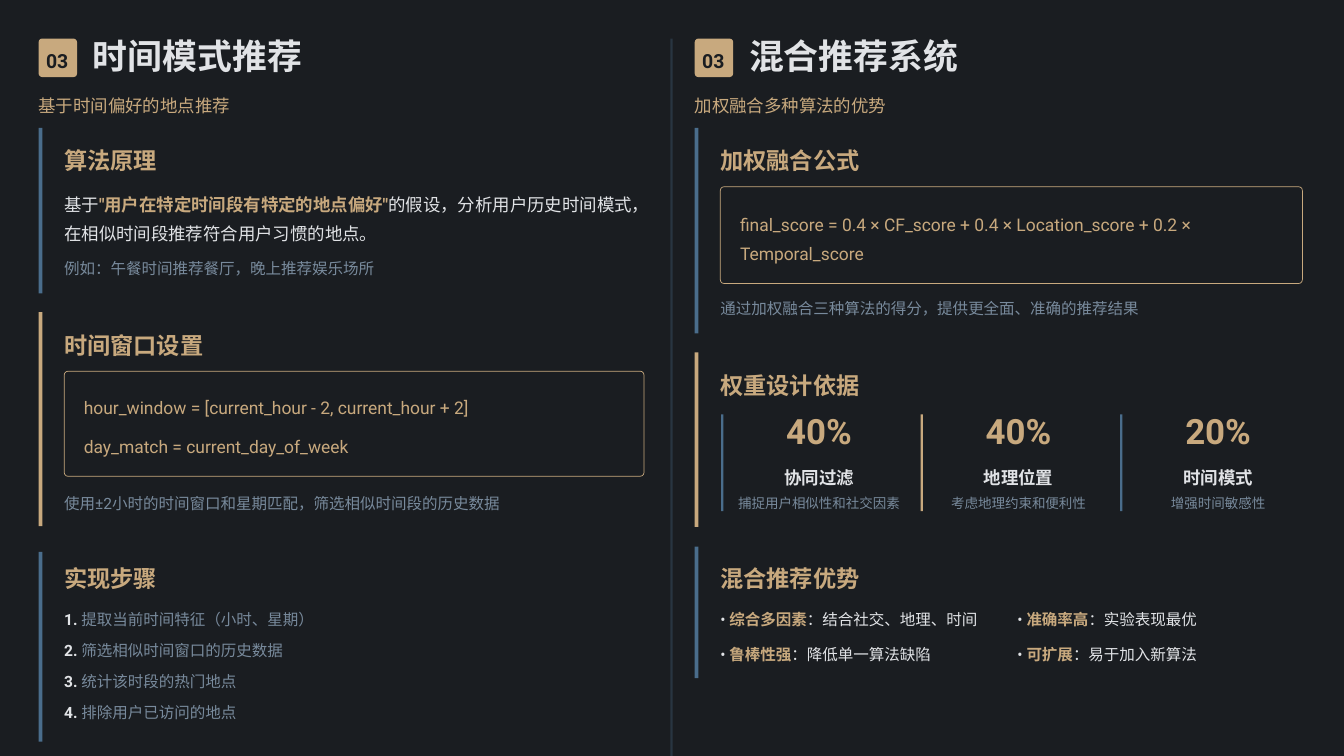
from lxml.etree import SubElement
from pptx import Presentation
from pptx.dml.color import RGBColor
from pptx.enum.shapes import MSO_SHAPE
from pptx.enum.text import MSO_ANCHOR, PP_ALIGN
from pptx.oxml.ns import qn
from pptx.util import Inches, Pt

FONT = "Roboto"
DARK = "1A1D21"
LIGHT = "E1E3E6"
GOLD = "C8A97E"
BLUE = "4A6D8C"
GREY = "788A9C"
LEFT = 0.51
RIGHT = 9.19
INDENT = 0.34
BODY_WIDTH = 7.8

presentation = Presentation()
presentation.slide_width = Inches(17.78)
presentation.slide_height = Inches(10)
slide = presentation.slides.add_slide(presentation.slide_layouts[6])
slide.background.fill.solid()
slide.background.fill.fore_color.rgb = RGBColor.from_string(DARK)


def add_text(text, left, top, width, height, size=14.8, color=GREY, bold=False,
             spacing=1.3, align=PP_ALIGN.LEFT):
    box = slide.shapes.add_textbox(Inches(left), Inches(top), Inches(width), Inches(height))
    frame = box.text_frame
    frame.word_wrap = True
    frame.vertical_anchor = MSO_ANCHOR.MIDDLE
    frame.margin_left = frame.margin_right = frame.margin_top = frame.margin_bottom = 0
    paragraph = frame.paragraphs[0]
    paragraph.line_spacing = spacing
    paragraph.alignment = align
    parts = [(text, color, bold)] if isinstance(text, str) else text
    for part_text, part_color, part_bold in parts:
        run = paragraph.add_run()
        run.text = part_text
        run.font.size = Pt(size)
        run.font.bold = part_bold
        run.font.color.rgb = RGBColor.from_string(part_color)
        run.font.name = FONT
        SubElement(run.font._element, qn("a:ea")).set("typeface", FONT)


def add_block(left, top, width, height, fill, line=None, radius=0):
    kind = MSO_SHAPE.ROUNDED_RECTANGLE if radius else MSO_SHAPE.RECTANGLE
    shape = slide.shapes.add_shape(kind, Inches(left), Inches(top), Inches(width), Inches(height))
    shape.shadow.inherit = False
    if radius:
        shape.adjustments[0] = radius / min(width, height)
    shape.fill.solid()
    shape.fill.fore_color.rgb = RGBColor.from_string(fill)
    if line:
        shape.line.color.rgb = RGBColor.from_string(line)
        shape.line.width = Pt(0.67)
    else:
        shape.line.fill.background()
    return shape


divider = add_block(8.87, 0.51, 0.03, 9.49, BLUE)
divider_color = divider.fill._xPr.find(qn("a:solidFill"))[0]
SubElement(divider_color, qn("a:alpha")).set("val", "30000")

for left, title, subtitle in [
    (LEFT, "时间模式推荐", "基于时间偏好的地点推荐"),
    (RIGHT, "混合推荐系统", "加权融合多种算法的优势"),
]:
    add_block(left, 0.51, 0.51, 0.51, GOLD, radius=0.05)
    add_text("03", left + 0.1, 0.59, 0.44, 0.36, size=18.5, color=DARK, bold=True, spacing=1.2)
    add_text(title, left + 0.72, 0.51, 3, 0.51, size=33.2, color=LIGHT, bold=True, spacing=0.9)
    add_text(subtitle, left, 1.18, 8.15, 0.36, size=16.6, color=GOLD)

for left, top, height, color, heading_top, heading in [
    (LEFT, 1.69, 2.19, BLUE, 1.9, "算法原理"),
    (LEFT, 4.13, 2.83, GOLD, 4.34, "时间窗口设置"),
    (LEFT, 7.3, 2.51, BLUE, 7.43, "实现步骤"),
    (RIGHT, 1.69, 2.72, BLUE, 1.9, "加权融合公式"),
    (RIGHT, 4.66, 2.31, GOLD, 4.87, "权重设计依据"),
    (RIGHT, 7.23, 1.74, BLUE, 7.43, "混合推荐优势"),
]:
    add_block(left, top, 0.05, height, color)
    add_text(heading, left + INDENT, heading_top, BODY_WIDTH, 0.41,
             size=22.1, color=GOLD, bold=True, spacing=1.1)

left_body = LEFT + INDENT
right_body = RIGHT + INDENT

principle = [
    ("基于", LIGHT, False),
    ("\"用户在特定时间段有特定的地点偏好\"", GOLD, True),
    ("的假设，分析用户历史时间模式，在相似时间段推荐符合用户习惯的地点。", LIGHT, False),
]
add_text(principle, left_body, 2.46, 7.79, 0.76, size=16.6, spacing=1.4)

add_block(left_body, 4.91, 7.67, 1.39, DARK, line=GOLD, radius=0.05)
for row, code in enumerate([
    "hour_window = [current_hour - 2, current_hour + 2]",
    "day_match = current_day_of_week",
]):
    add_text(code, left_body + 0.26, 5.17 + row * 0.51, 7.27, 0.36, size=16.6, color=GOLD)

add_block(right_body, 2.47, 7.7, 1.28, DARK, line=GOLD, radius=0.05)
add_text("final_score = 0.4 × CF_score + 0.4 × Location_score + 0.2 × Temporal_score",
         right_body + 0.26, 2.73, 7.29, 0.76, size=16.6, color=GOLD, spacing=1.4)

for left, top, note in [
    (left_body, 3.36, "例如：午餐时间推荐餐厅，晚上推荐娱乐场所"),
    (left_body, 6.46, "使用±2小时的时间窗口和星期匹配，筛选相似时间段的历史数据"),
    (right_body, 3.89, "通过加权融合三种算法的得分，提供更全面、准确的推荐结果"),
]:
    add_text(note, left, top, BODY_WIDTH, 0.31)

for row, step in enumerate([
    "提取当前时间特征（小时、星期）",
    "筛选相似时间窗口的历史数据",
    "统计该时段的热门地点",
    "排除用户已访问的地点",
]):
    add_text([(f"{row + 1}.", LIGHT, True), (f" {step}", GREY, False)],
             left_body, 8 + row * 0.41, BODY_WIDTH, 0.31)

for column, (weight, algorithm, reason, color) in enumerate([
    ("40%", "协同过滤", "捕捉用户相似性和社交因素", BLUE),
    ("40%", "地理位置", "考虑地理约束和便利性", GOLD),
    ("20%", "时间模式", "增强时间敏感性", BLUE),
]):
    left = 9.54 + column * 2.64
    add_block(left, 5.48, 0.03, 1.28, color)
    add_text(weight, left + 0.05, 5.48, 2.49, 0.51, size=33.2, color=GOLD, bold=True,
             spacing=0.9, align=PP_ALIGN.CENTER)
    add_text(algorithm, left + 0.11, 6.1, 2.37, 0.36, size=16.6, color=LIGHT, bold=True,
             align=PP_ALIGN.CENTER)
    add_text(reason, left + 0.12, 6.51, 2.35, 0.26, size=12.9, spacing=1.2,
             align=PP_ALIGN.CENTER)

for index, (benefit, detail) in enumerate([
    ("综合多因素", "结合社交、地理、时间"),
    ("准确率高", "实验表现最优"),
    ("鲁棒性强", "降低单一算法缺陷"),
    ("可扩展", "易于加入新算法"),
]):
    row, column = divmod(index, 2)
    add_text([("• ", LIGHT, False), (benefit, GOLD, True), (f"：{detail}", LIGHT, False)],
             right_body + column * 3.93, 8 + row * 0.46, 3.88, 0.31)

presentation.save("out.pptx")
